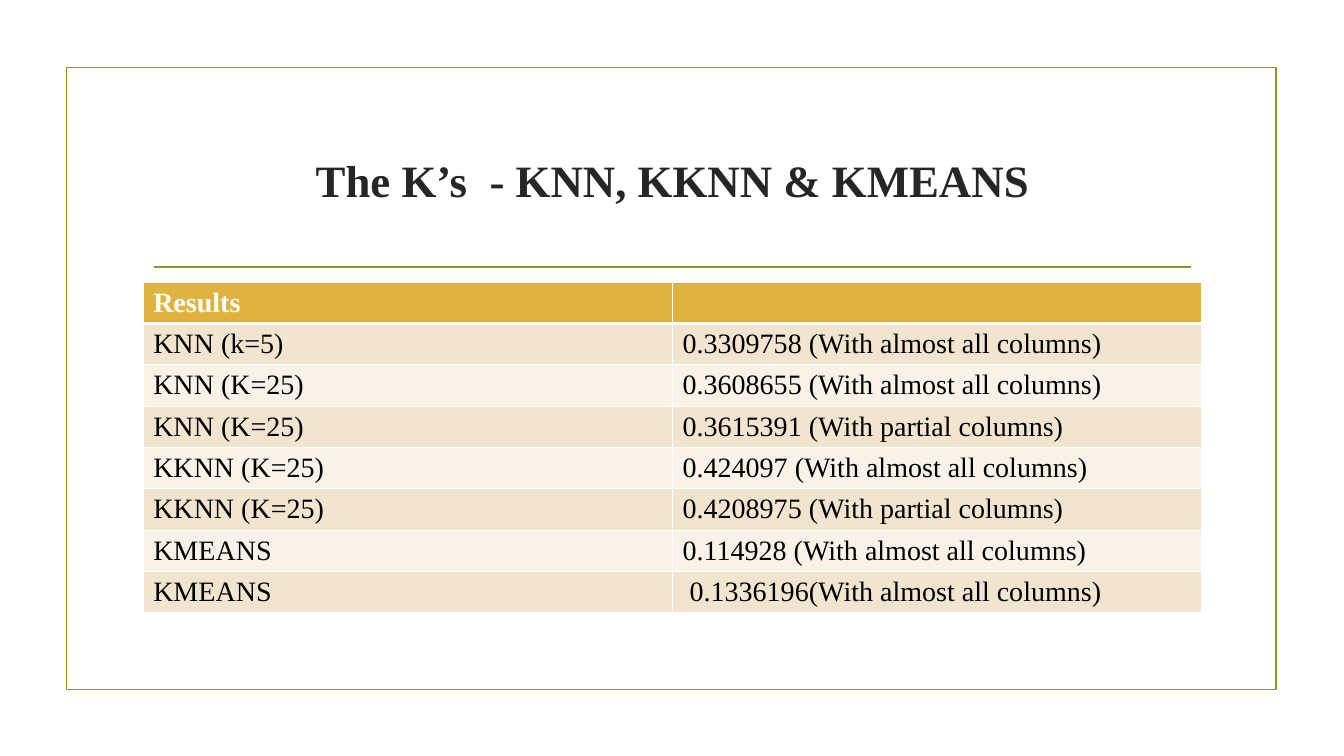
from dataclasses import dataclass

from lxml import etree
from pptx import Presentation
from pptx.dml.color import RGBColor
from pptx.enum.shapes import MSO_CONNECTOR, MSO_SHAPE
from pptx.enum.text import MSO_ANCHOR, PP_ALIGN
from pptx.oxml.ns import qn
from pptx.util import Inches, Pt

RECTANGLE = MSO_SHAPE.RECTANGLE
STRAIGHT = MSO_CONNECTOR.STRAIGHT
MIDDLE = MSO_ANCHOR.MIDDLE
CENTER = PP_ALIGN.CENTER
TITLE_ONLY = 5


@dataclass(frozen=True)
class Theme:
    font: str = "Times New Roman"
    title_size: int = 32
    table_size: int = 20
    rule_width: float = 1.25
    green: str = "83992A"
    title: str = "262626"
    text: str = "000000"
    white: str = "FFFFFF"
    header: str = "DEB340"
    bands: tuple = ("F2E5CF", "F9F2E8")


THEME = Theme()

TITLE = "The K’s  - KNN, KKNN & KMEANS"
RESULTS = [
    ("Results", ""),
    ("KNN (k=5)", "0.3309758 (With almost all columns)"),
    ("KNN (K=25)", "0.3608655 (With almost all columns)"),
    ("KNN (K=25)", "0.3615391 (With partial columns)"),
    ("KKNN (K=25)", "0.424097 (With almost all columns)"),
    ("KKNN (K=25)", "0.4208975 (With partial columns)"),
    ("KMEANS", "0.114928 (With almost all columns)"),
    ("KMEANS", " 0.1336196(With almost all columns)"),
]


def rgb(color):
    return RGBColor.from_string(color)


def format_text(p, size, color, bold):
    for font in [p.font] + [r.font for r in p.runs]:
        font.name = THEME.font
        font.size = Pt(size)
        font.bold = bold
        font.color.rgb = rgb(color)


def style_line(line):
    line.color.rgb = rgb(THEME.green)
    line.width = Pt(THEME.rule_width)


def set_borders(cell, bottom):
    tc_pr = cell._tc.get_or_add_tcPr()
    widths = {"lnL": 1, "lnR": 1, "lnT": 1, "lnB": bottom}
    for i, (side, width) in enumerate(widths.items()):
        ln = etree.Element(qn(f"a:{side}"), w=str(Pt(width)))
        fill = etree.SubElement(ln, qn("a:solidFill"))
        etree.SubElement(fill, qn("a:srgbClr"), val=THEME.white)
        tc_pr.insert(i, ln)


def add_frame(slide, left, top, width, height):
    sp = slide.shapes.add_shape(
        RECTANGLE, Inches(left), Inches(top), Inches(width), Inches(height))
    sp.shadow.inherit = False
    sp.fill.background()
    style_line(sp.line)


def add_title(slide, left, top, width, height):
    sp = slide.shapes.title
    sp.left, sp.top = Inches(left), Inches(top)
    sp.width, sp.height = Inches(width), Inches(height)
    tf = sp.text_frame
    tf.text = TITLE
    tf.word_wrap = True
    tf.vertical_anchor = MIDDLE
    p = tf.paragraphs[0]
    p.alignment = CENTER
    format_text(p, THEME.title_size, THEME.title, True)

    # Rule under the title, inset from both sides
    inset, y = Inches(0.11), Inches(top + height + 0.15)
    rule = slide.shapes.add_connector(
        STRAIGHT, sp.left + inset, y, sp.left + sp.width - inset, y)
    style_line(rule.line)
    etree.SubElement(rule._element.spPr, qn("a:effectLst"))


def add_results(slide, left, top, width, row_height):
    rows, cols = len(RESULTS), len(RESULTS[0])
    table = slide.shapes.add_table(
        rows, cols, Inches(left), Inches(top),
        Inches(width), Inches(row_height * rows)).table
    for i, values in enumerate(RESULTS):
        header = i == 0
        table.rows[i].height = Inches(row_height)
        for j, value in enumerate(values):
            cell = table.cell(i, j)
            cell.text_frame.text = value
            format_text(cell.text_frame.paragraphs[0], THEME.table_size,
                        THEME.white if header else THEME.text, header)
            cell.fill.solid()
            cell.fill.fore_color.rgb = rgb(
                THEME.header if header else THEME.bands[(i - 1) % 2])
            set_borders(cell, 3 if header else 1)


def main():
    prs = Presentation()
    prs.slide_width, prs.slide_height = Inches(13.33), Inches(7.5)
    slide = prs.slides.add_slide(prs.slide_layouts[TITLE_ONLY])

    # Border, heading and results share one centred column
    left, width = 1.42, 10.5
    add_frame(slide, 0.66, 0.67, 12, 6.17)
    add_title(slide, left, 1.07, width, 1.43)
    add_results(slide, left, 2.8, width, 0.41)

    prs.save("out.pptx")


if __name__ == "__main__":
    main()
